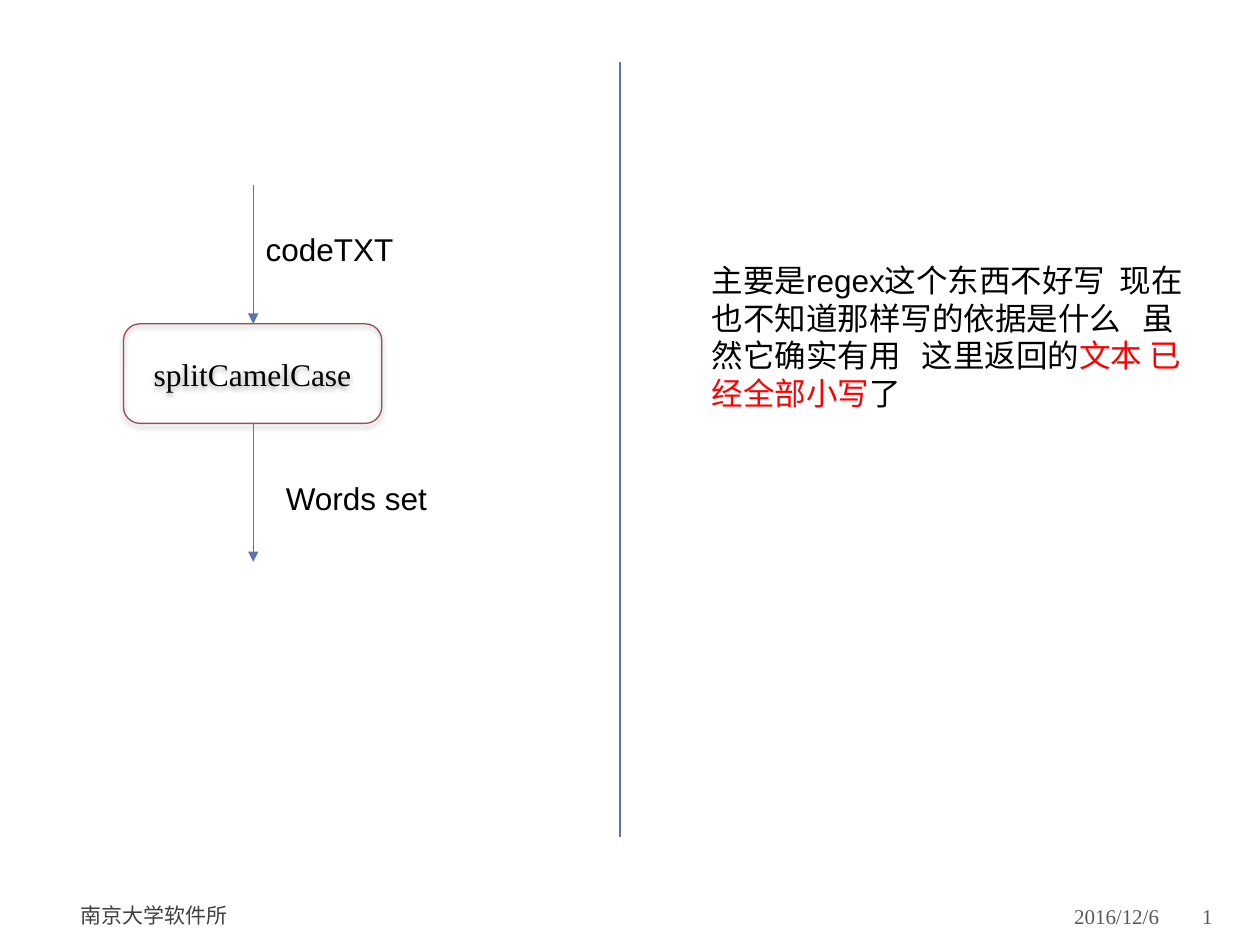
from lxml import etree
from pptx import Presentation
from pptx.dml.color import RGBColor
from pptx.enum.shapes import MSO_CONNECTOR, MSO_SHAPE
from pptx.enum.text import MSO_ANCHOR, PP_ALIGN
from pptx.oxml.ns import qn
from pptx.util import Inches, Pt

BLACK = RGBColor(0, 0, 0)
RED = RGBColor(0xFF, 0, 0)
GRAY = RGBColor(0x59, 0x59, 0x59)
DARK_GRAY = RGBColor(0x40, 0x40, 0x40)
BLUE = RGBColor(0x5C, 0x72, 0xB2)
MAROON = RGBColor(0x9A, 0x4E, 0x4E)
CJK_FONT = "Noto Sans CJK SC"

deck = Presentation()
deck.slide_width = Inches(10)
deck.slide_height = Inches(7.5)
page = deck.slides.add_slide(deck.slide_layouts[6])


def write(shape, spans, size, font_name, align=PP_ALIGN.LEFT):
    shape.text_frame.word_wrap = True
    para = shape.text_frame.paragraphs[0]
    para.alignment = align
    para.font.size = Pt(size)
    para.font.name = font_name
    for text, color in spans:
        span = para.add_run()
        span.text = text
        span.font.color.rgb = color
        etree.SubElement(span.font._element, qn("a:ea"), typeface=CJK_FONT)


def draw_line(x, top, bottom, arrow):
    line = page.shapes.add_connector(
        MSO_CONNECTOR.STRAIGHT, Inches(x), Inches(top), Inches(x), Inches(bottom))
    line.line.color.rgb = BLUE
    line.line.width = Pt(0.75)
    if arrow:
        etree.SubElement(line.line._get_or_add_ln(), qn("a:tailEnd"), type="triangle")
    etree.SubElement(line._element.spPr, qn("a:effectLst"))


footers = [
    ("2016/12/6", 6.97, 7.07, 2.28, 0.1, 0.05, "Times New Roman", GRAY, PP_ALIGN.RIGHT),
    ("南京大学软件所", 0.59, 7.06, 4.45, 0.05, 0.1, CJK_FONT, DARK_GRAY, PP_ALIGN.LEFT),
    ("1", 9.51, 7.07, 0.45, 0.03, 0.05, "Times New Roman", GRAY, PP_ALIGN.LEFT),
]
for text, left, top, width, inset_left, inset_right, font_name, color, align in footers:
    footer = page.shapes.add_textbox(Inches(left), Inches(top), Inches(width), Inches(0.4))
    footer.text_frame.vertical_anchor = MSO_ANCHOR.MIDDLE
    footer.text_frame.margin_left = Inches(inset_left)
    footer.text_frame.margin_right = Inches(inset_right)
    write(footer, [(text, color)], 12, font_name, align)

step = page.shapes.add_shape(
    MSO_SHAPE.ROUNDED_RECTANGLE, Inches(0.98), Inches(2.57), Inches(2.05), Inches(0.79))
step.fill.background()
step.line.color.rgb = MAROON
step.line.width = Pt(0.75)
step.shadow.inherit = False
effects = step._element.spPr.find(qn("a:effectLst"))
shadow = etree.SubElement(
    effects, qn("a:outerShdw"), blurRad=str(Pt(3.1)), dist=str(Pt(1.8)),
    dir="5400000", rotWithShape="0")
shade = etree.SubElement(shadow, qn("a:srgbClr"), val="000000")
etree.SubElement(shade, qn("a:alpha"), val="35000")
step.text_frame.vertical_anchor = MSO_ANCHOR.MIDDLE
write(step, [("splitCamelCase", BLACK)], 18, "Times New Roman", PP_ALIGN.CENTER)

for x, top, bottom, arrow in [
    (2.01, 1.47, 2.57, True),
    (2.01, 3.36, 4.46, True),
    (4.92, 0.49, 6.64, False),
]:
    draw_line(x, top, bottom, arrow)

note = [
    ("主要是regex这个东西不好写  现在也不知道那样写的依据是什么   虽然它确实有用   这里返回的", BLACK),
    ("文本 已经全部小写", RED),
    ("了", BLACK),
]
for spans, left, top, width, height in [
    ([("codeTXT", BLACK)], 2.01, 1.78, 1.57, 0.4),
    ([("Words set", BLACK)], 2.17, 3.75, 1.42, 0.4),
    (note, 5.55, 2.02, 3.96, 1.31),
]:
    label = page.shapes.add_textbox(Inches(left), Inches(top), Inches(width), Inches(height))
    write(label, spans, 18, "Arial")

deck.save("out.pptx")
